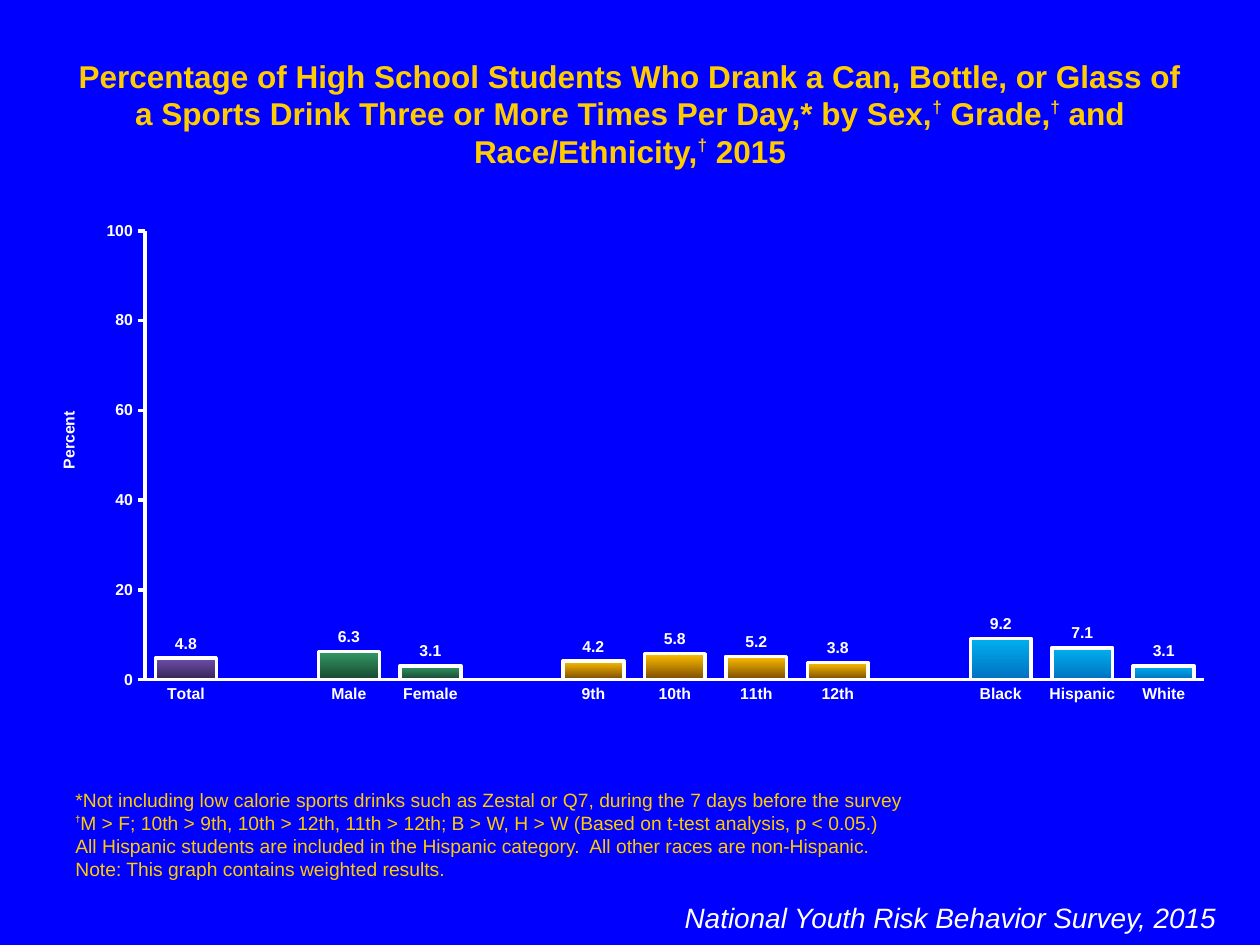
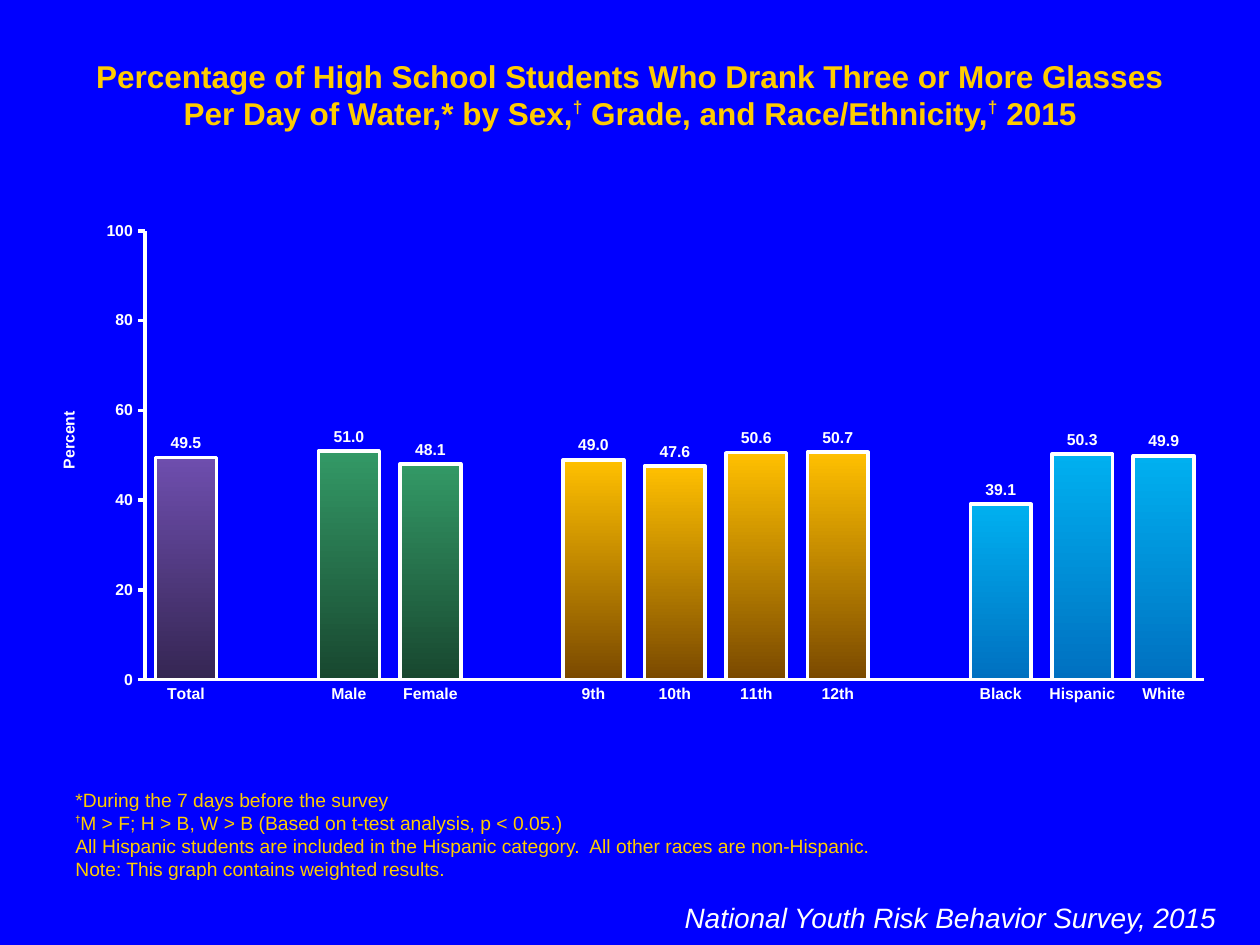
"""Build two survey slides, each a bar chart with title, notes and source."""
from dataclasses import dataclass, field

from lxml.etree import SubElement
from pptx import Presentation
from pptx.chart.data import CategoryChartData
from pptx.dml.color import RGBColor
from pptx.enum.chart import XL_CHART_TYPE, XL_LABEL_POSITION, XL_TICK_MARK
from pptx.enum.text import MSO_ANCHOR, MSO_AUTO_SIZE, PP_ALIGN
from pptx.oxml import parse_xml
from pptx.oxml.ns import nsdecls, qn
from pptx.util import Inches, Pt

WIDTH, HEIGHT = Inches(10), Inches(7.5)
COLUMN, ROW = WIDTH // 40, HEIGHT // 150
FONT = "Arial"
DAGGER = "†"

BLUE = RGBColor(0x00, 0x00, 0xFF)
GOLD = RGBColor(0xFF, 0xCC, 0x00)
WHITE = RGBColor(0xFF, 0xFF, 0xFF)


@dataclass(frozen=True)
class Frame:
    """A place on the slide, in grid columns and rows."""
    col: float
    row: float
    cols: float
    rows: float

    def emu(self) -> tuple[int, ...]:
        return (round(self.col * COLUMN), round(self.row * ROW),
                round(self.cols * COLUMN), round(self.rows * ROW))


@dataclass(frozen=True)
class TextStyle:
    """Place and format of one text box."""
    frame: Frame
    color: RGBColor
    font: dict
    align: PP_ALIGN = PP_ALIGN.LEFT
    anchor: MSO_ANCHOR = MSO_ANCHOR.TOP
    dagger: dict = field(default_factory=dict)
    raised: int = 0


@dataclass(frozen=True)
class BarGroup:
    """Neighbouring bars that share one gradient."""
    labels: tuple[str, ...]
    top: RGBColor
    bottom: RGBColor
    shade: float = 0


@dataclass(frozen=True)
class Survey:
    """Content of one slide, with one tuple of values per bar group."""
    title: str
    remarks: tuple[str, str]
    values: tuple[tuple[float, ...], ...]


TITLE = TextStyle(Frame(2, 8, 36, 8), GOLD, {"size": Pt(18), "bold": True},
                  PP_ALIGN.CENTER, dagger={"size": Pt(17)}, raised=40)
NOTES = TextStyle(Frame(2, 135, 36, 5.8), GOLD, {"size": Pt(11)},
                  anchor=MSO_ANCHOR.BOTTOM,
                  dagger={"size": Pt(9), "bold": True}, raised=50)
SOURCE = TextStyle(Frame(17, 142, 22, 8), WHITE,
                   {"size": Pt(16), "italic": True}, PP_ALIGN.RIGHT)
CHART = Frame(1, 33.8, 38, 79.6)
PLOT_LAYOUT = {"layoutTarget": "inner", "xMode": "edge", "yMode": "edge",
               "x": 0.095, "y": 0.036, "w": 0.885, "h": 0.895}
PERCENT_LAYOUT = {"xMode": "edge", "yMode": "edge", "x": 0.02, "y": 0.39}
CHART_FONT = {"size": Pt(9), "bold": True, "name": FONT}

GROUPS = (
    BarGroup(("Total",), RGBColor(0x6E, 0x4E, 0xAE),
             RGBColor(0x4F, 0x38, 0x7C), -0.33),
    BarGroup(("Male", "Female"), RGBColor(0x33, 0x99, 0x66),
             RGBColor(0x18, 0x47, 0x2F)),
    BarGroup(("9th", "10th", "11th", "12th"), RGBColor(0xFF, 0xC0, 0x00),
             RGBColor(0xB6, 0x6D, 0x00), -0.33),
    BarGroup(("Black", "Hispanic", "White"), RGBColor(0x00, 0xB0, 0xF0),
             RGBColor(0x00, 0x70, 0xC0)),
)
COMMON_NOTES = (
    "All Hispanic students are included in the Hispanic category.  "
    "All other races are non-Hispanic.",
    "Note: This graph contains weighted results.",
)
SURVEYS = (
    Survey(
        "Percentage of High School Students Who Drank a Can, Bottle, or Glass "
        "of a Sports Drink Three or More Times Per Day,* by Sex,† Grade,† and "
        "Race/Ethnicity,† 2015",
        ("*Not including low calorie sports drinks such as Zestal or Q7, "
         "during the 7 days before the survey",
         "†M > F; 10th > 9th, 10th > 12th, 11th > 12th; B > W, H > W "
         "(Based on t-test analysis, p < 0.05.)"),
        ((4.8,), (6.3, 3.1), (4.2, 5.8, 5.2, 3.8), (9.2, 7.1, 3.1)),
    ),
    Survey(
        "Percentage of High School Students Who Drank Three or More Glasses "
        "Per Day of Water,* by Sex,† Grade, and Race/Ethnicity,† 2015",
        ("*During the 7 days before the survey",
         "†M > F; H > B, W > B (Based on t-test analysis, p < 0.05.)"),
        ((49.5,), (51.0, 48.1), (49.0, 47.6, 50.6, 50.7), (39.1, 50.3, 49.9)),
    ),
)


def apply(target, values: dict) -> None:
    for name, value in values.items():
        setattr(target, name, value)


def white_line(line) -> None:
    line.color.rgb = WHITE
    line.width = Pt(2)


def add_run(p, text: str, style: TextStyle) -> None:
    r = p.add_run()
    r.text = text
    apply(r.font, {"name": FONT} | style.font)
    r.font.color.rgb = style.color
    if text == DAGGER:
        apply(r.font, style.dagger)
        r._r.get_or_add_rPr().set("baseline", str(style.raised * 1000))


def add_text(slide, style: TextStyle, lines: tuple[str, ...]) -> None:
    tf = slide.shapes.add_textbox(*style.frame.emu()).text_frame
    apply(tf, {"word_wrap": True, "vertical_anchor": style.anchor,
               "auto_size": MSO_AUTO_SIZE.SHAPE_TO_FIT_TEXT})
    for i, line in enumerate(lines):
        p = tf.add_paragraph() if i else tf.paragraphs[0]
        p.alignment = style.align
        for j, part in enumerate(line.split(DAGGER)):
            if j:
                add_run(p, DAGGER, style)
            if part:
                add_run(p, part, style)


def set_layout(element, index: int, values: dict) -> None:
    """Place a chart part by shares of the chart's size."""
    for old in element.findall(qn("c:layout")):
        element.remove(old)
    layout = parse_xml(f"<c:layout {nsdecls('c')}><c:manualLayout/></c:layout>")
    for name, value in values.items():
        SubElement(layout[0], qn(f"c:{name}")).set("val", str(value))
    element.insert(index, layout)


def no_fill():
    return parse_xml(f"<c:spPr {nsdecls('c', 'a')}><a:noFill/>"
                     "<a:ln><a:noFill/></a:ln></c:spPr>")


def join_groups(groups) -> list:
    """Chain the groups with one empty slot, None, between them."""
    slots = []
    for group in groups:
        slots += [None, *group] if slots else group
    return slots


def format_axes(chart) -> None:
    for axis in (chart.category_axis, chart.value_axis):
        axis.has_major_gridlines = False
        apply(axis.tick_labels.font, CHART_FONT)
        white_line(axis.format.line)
    apply(chart.category_axis, {"major_tick_mark": XL_TICK_MARK.NONE})
    apply(chart.value_axis, {"minimum_scale": 0, "maximum_scale": 100,
                             "major_unit": 20,
                             "major_tick_mark": XL_TICK_MARK.OUTSIDE})
    title = chart.value_axis.axis_title
    tf = title.text_frame
    tf._txBody.bodyPr.set("rot", "-5400000")
    r = tf.paragraphs[0].add_run()
    r.text = "Percent"
    apply(r.font, CHART_FONT)
    r.font.color.rgb = WHITE
    set_layout(title._element, 1, PERCENT_LAYOUT)


def format_bars(plot) -> None:
    apply(plot, {"gap_width": 34, "overlap": 100, "vary_by_categories": False,
                 "has_data_labels": True})
    labels = plot.data_labels
    apply(labels, {"show_value": True, "number_format": "#,##0.0",
                   "number_format_is_linked": False,
                   "position": XL_LABEL_POSITION.OUTSIDE_END})
    apply(labels.font, CHART_FONT)
    labels.font.color.rgb = WHITE
    white_line(plot.series[0].format.line)
    bar_groups = join_groups([group] * len(group.labels) for group in GROUPS)
    for i, group in enumerate(bar_groups):
        if group is None:
            continue
        bar = plot.series[0].points[i].format
        bar.fill.gradient()
        bar.fill.gradient_angle = 270
        top, bottom = bar.fill.gradient_stops
        top.color.rgb = group.top
        bottom.color.rgb = group.bottom
        if group.shade:
            bottom.color.brightness = group.shade
        white_line(bar.line)


def add_bars(slide, values: tuple[tuple[float, ...], ...]) -> None:
    data = CategoryChartData()
    data.categories = [label or "" for label in
                       join_groups(group.labels for group in GROUPS)]
    data.add_series("Series 1", join_groups(values))
    chart = slide.shapes.add_chart(XL_CHART_TYPE.COLUMN_CLUSTERED,
                                   *CHART.emu(), data).chart
    apply(chart, {"has_title": False, "has_legend": False})
    apply(chart.font, {"name": FONT, "size": Pt(18)})
    chart.font.color.rgb = WHITE
    format_axes(chart)
    format_bars(chart.plots[0])
    body = chart._chartSpace.find(qn("c:chart"))
    body.addnext(no_fill())
    plot_area = body.find(qn("c:plotArea"))
    plot_area.append(no_fill())
    set_layout(plot_area, 0, PLOT_LAYOUT)


def add_survey(prs, survey: Survey) -> None:
    s = prs.slides.add_slide(prs.slide_layouts[6])
    s.background.fill.solid()
    s.background.fill.fore_color.rgb = BLUE
    add_text(s, TITLE, (survey.title,))
    add_text(s, NOTES, survey.remarks + COMMON_NOTES)
    add_text(s, SOURCE, ("National Youth Risk Behavior Survey, 2015",))
    add_bars(s, survey.values)


def main() -> None:
    prs = Presentation()
    apply(prs, {"slide_width": WIDTH, "slide_height": HEIGHT})
    for survey in SURVEYS:
        add_survey(prs, survey)
    prs.save("out.pptx")


if __name__ == "__main__":
    main()
